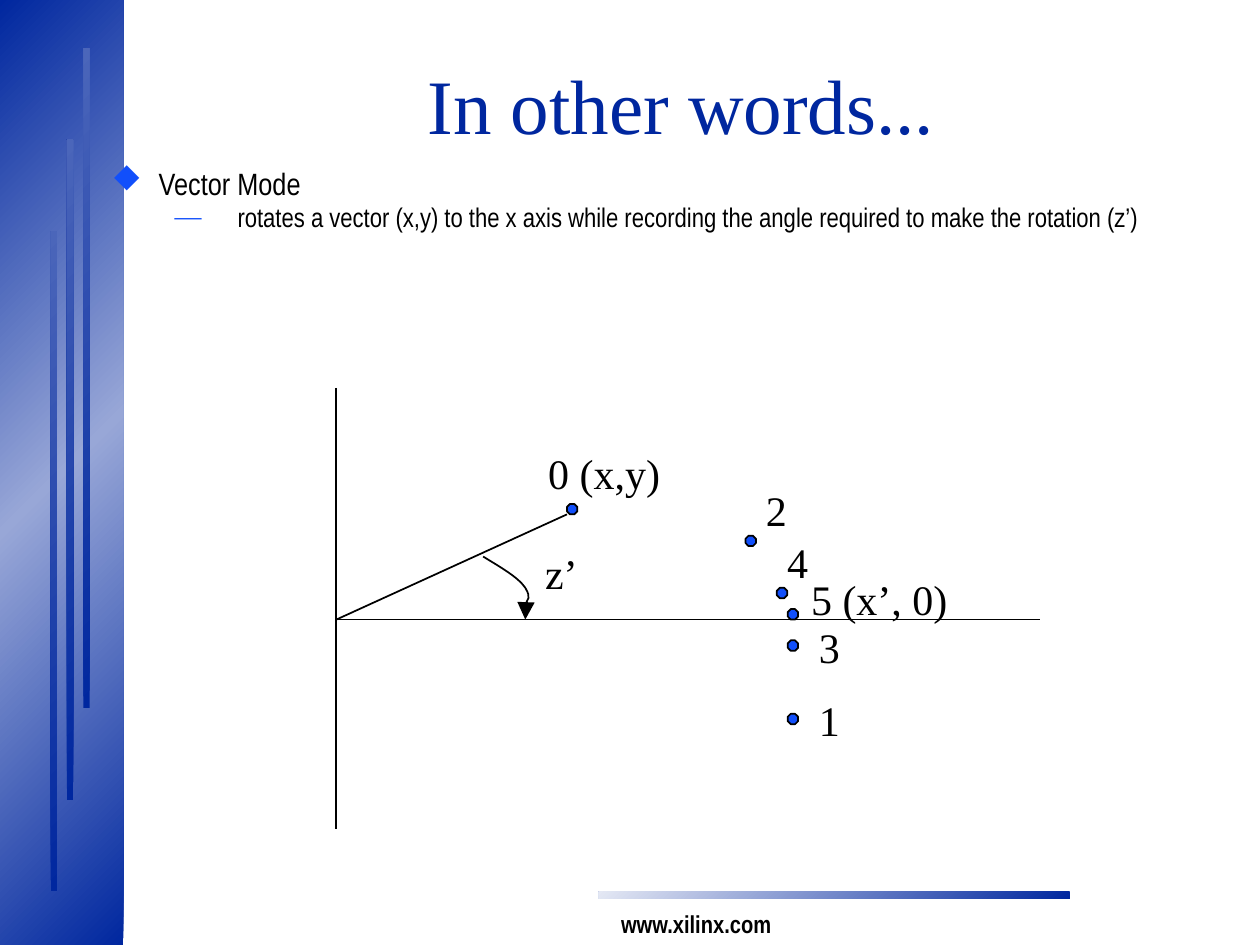
from lxml import etree
from pptx import Presentation
from pptx.dml.color import RGBColor
from pptx.enum.shapes import MSO_CONNECTOR, MSO_SHAPE
from pptx.enum.text import MSO_ANCHOR, MSO_AUTO_SIZE, PP_ALIGN
from pptx.oxml.ns import qn
from pptx.util import Cm, Pt

RECT = MSO_SHAPE.RECTANGLE
OCTAGON = MSO_SHAPE.OCTAGON
STRAIGHT = MSO_CONNECTOR.STRAIGHT
CENTER = PP_ALIGN.CENTER
MIDDLE = MSO_ANCHOR.MIDDLE
GROW = MSO_AUTO_SIZE.SHAPE_TO_FIT_TEXT
FIXED = MSO_AUTO_SIZE.NONE

NAVY, BLUE, BLACK = "00279F", "114FFB", "000000"
SERIF, NARROW, SYMBOLS = "Times New Roman", "Arial Narrow", "Wingdings"


def rgb(value):
    return RGBColor.from_string(value)


def child(parent, tag, **attrs):
    return etree.SubElement(parent, qn(tag), attrs)


class SlideBuilder:
    def __init__(self, slide):
        self.slide = slide
        self.shapes = slide.shapes

    def font(self, p, size, name, color=BLACK, bold=False):
        p.font.size = Pt(size)
        p.font.name = name
        p.font.bold = bold
        p.font.color.rgb = rgb(color)

    def outline(self, sp):
        sp.line.color.rgb = rgb(BLACK)
        sp.line.width = Pt(1)

    def title(self, text, x, y, w, h):
        sp = self.shapes.title
        sp.left, sp.top, sp.width, sp.height = Cm(x), Cm(y), Cm(w), Cm(h)
        tf = sp.text_frame
        tf.text = text
        tf.auto_size = FIXED
        tf.vertical_anchor = MIDDLE
        p = tf.paragraphs[0]
        p.alignment = CENTER
        p.line_spacing = 0.85
        self.font(p, 44, SERIF, NAVY)

    def gradient(self, x, y, w, h, colors):
        sp = self.shapes.add_shape(RECT, Cm(x), Cm(y), Cm(w), Cm(h))
        sp.shadow.inherit = False
        sp.line.fill.background()
        sp.fill.gradient()
        sp.fill.gradient_angle = 135
        stops = sp._element.spPr.find(".//" + qn("a:gsLst"))
        for stop in list(stops):
            stops.remove(stop)
        for i, color in enumerate(colors):
            pos = 100000 * i // (len(colors) - 1)
            child(child(stops, "a:gs", pos=str(pos)), "a:srgbClr", val=color)

    def label(self, text, x, y, w, h=1.27, size=24, name=SERIF, bold=False):
        tf = self.shapes.add_textbox(Cm(x), Cm(y), Cm(w), Cm(h)).text_frame
        tf.word_wrap = False
        tf.auto_size = GROW
        tf.text = text
        self.font(tf.paragraphs[0], size, name, bold=bold)

    def bullets(self, x, y, w, h, items):
        tf = self.shapes.add_textbox(Cm(x), Cm(y), Cm(w), Cm(h)).text_frame
        tf.word_wrap = True
        for level, (text, mark, face, size, margin, indent, before) in enumerate(items):
            p = tf.add_paragraph() if level else tf.paragraphs[0]
            p.text = text
            p.level = level
            p.line_spacing = 0.7
            p.space_before = Pt(before)
            pPr = p._p.get_or_add_pPr()
            pPr.set("marL", str(Cm(margin)))
            pPr.set("indent", str(Cm(indent)))
            child(child(pPr, "a:buClr"), "a:srgbClr", val=BLUE)
            child(pPr, "a:buFont", typeface=face)
            child(pPr, "a:buChar", char=mark)
            self.font(p, size, NARROW)

    def line(self, x1, y1, x2, y2):
        sp = self.shapes.add_connector(STRAIGHT, Cm(x1), Cm(y1), Cm(x2), Cm(y2))
        self.outline(sp)
        child(sp._element.spPr, "a:effectLst")

    def dot(self, x, y):
        sp = self.shapes.add_shape(OCTAGON, Cm(x), Cm(y), Cm(0.21), Cm(0.21))
        sp.adjustments[0] = 0.293
        sp.shadow.inherit = False
        sp.fill.solid()
        sp.fill.fore_color.rgb = rgb(BLUE)
        self.outline(sp)

    def curved_arrow(self, start, points):
        fb = self.shapes.build_freeform(Cm(start[0]), Cm(start[1]))
        fb.add_line_segments([(Cm(x), Cm(y)) for x, y in points], close=False)
        sp = fb.convert_to_shape()
        sp.shadow.inherit = False
        sp.fill.background()
        self.outline(sp)
        child(sp.line._get_or_add_ln(), "a:tailEnd", type="triangle", w="lg", len="lg")
        outline = sp._element.spPr.find(".//" + qn("a:path"))
        segments = outline.findall(qn("a:lnTo"))
        for i in range(0, len(segments), 3):
            curve = child(outline, "a:cubicBezTo")
            for segment in segments[i:i + 3]:
                curve.append(segment[0])
                outline.remove(segment)


def main():
    prs = Presentation()
    prs.slide_width, prs.slide_height = Cm(25.4), Cm(19.05)
    s = SlideBuilder(prs.slides.add_slide(prs.slide_layouts[5]))

    s.gradient(0, 0, 2.49, 19.05, [NAVY, "98A7D7", NAVY])
    for i in range(3):
        s.gradient(1.02 + 0.33 * i, 4.67 - 1.85 * i, 0.13, 13.3, [NAVY, "4B66BA"])
    s.gradient(12.07, 17.98, 9.5, 0.14, [NAVY, "E4E8F4"])
    s.label("www.xilinx.com", 12.27, 18.21, 3.56, 0.86, 14, NARROW, True)

    s.title("In other words...", 2.54, 0.64, 22.38, 3.18)
    s.bullets(2, 3.4, 21.82, 1.98, [
        ("Vector Mode", "u", SYMBOLS, 17.6, 0.95, -0.95, 0),
        ("rotates a vector (x,y) to the x axis while recording the angle "
         "required to make the rotation (z’)", "—", SERIF, 15.4, 2.54, -1.27, 5.2),
    ])

    origin_x, origin_y = 6.78, 12.49
    s.line(origin_x, 7.82, origin_x, 16.71)
    s.line(origin_x, origin_y, 20.96, origin_y)
    s.line(origin_x, origin_y, 11.43, 10.37)

    steps = [
        ("0 (x,y)", 11.43, 10.16, 10.8, 8.89, 2.77),
        ("1", 15.88, 14.39, 16.26, 13.87, 0.91),
        ("2", 15.03, 10.8, 15.19, 9.65, 0.91),
        ("3", 15.88, 12.91, 16.26, 12.4, 0.91),
        ("4", 15.66, 11.85, 15.62, 10.69, 0.91),
        ("5 (x’, 0)", 15.88, 12.28, 16.1, 11.43, 3.25),
    ]
    for text, dot_x, dot_y, x, y, w in steps:
        s.dot(dot_x, dot_y)
        s.label(text, x, y, w)

    s.curved_arrow((9.74, 11.22), [
        (10.08, 11.43), (10.44, 11.63), (10.59, 11.85),
        (10.72, 12.07), (10.46, 12.37), (10.59, origin_y),
    ])
    s.label("z’", 10.74, 10.92, 1.17)

    prs.save("out.pptx")


if __name__ == "__main__":
    main()
